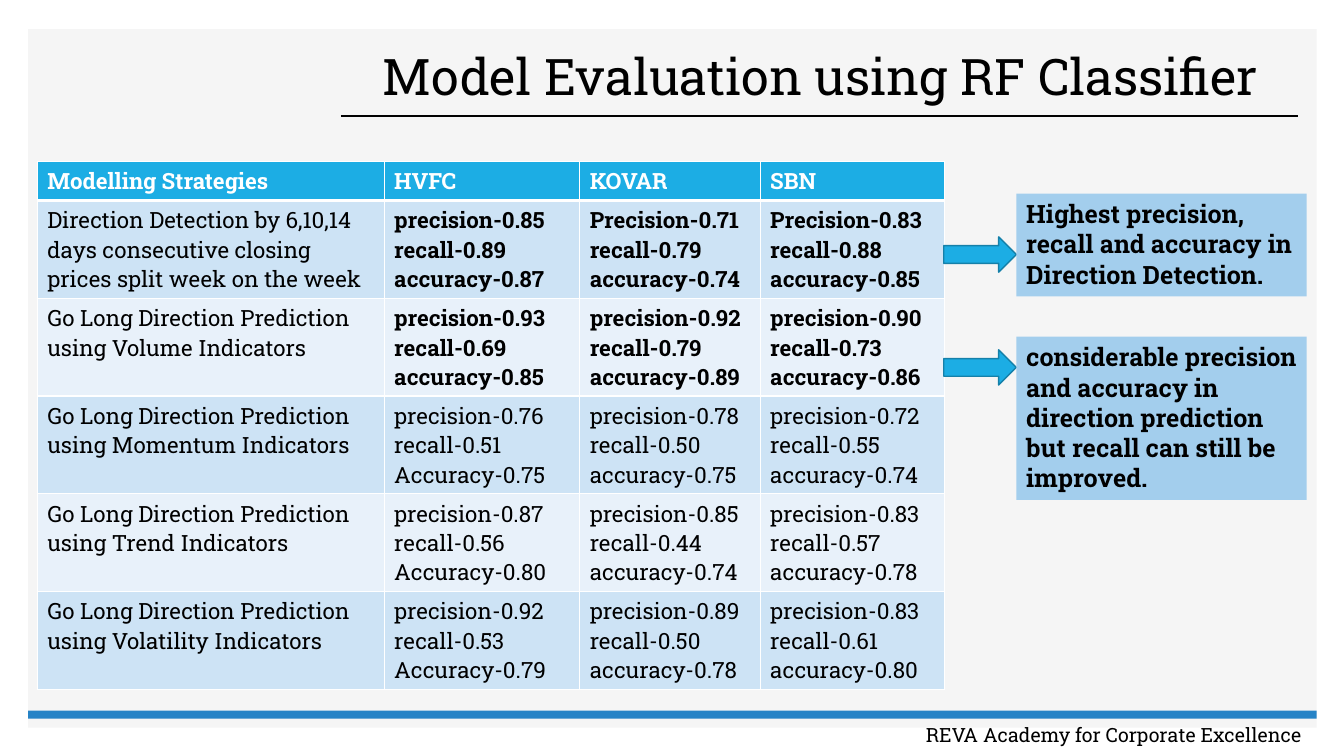
import lxml.etree
import pptx
import pptx.dml.color
import pptx.enum.shapes
import pptx.enum.text
import pptx.oxml.ns
import pptx.util

Inches = pptx.util.Inches
SHAPES = pptx.enum.shapes.MSO_SHAPE
ALIGN = pptx.enum.text.PP_ALIGN
ANCHOR = pptx.enum.text.MSO_ANCHOR
FONT = "Roboto Slab"
BLACK, WHITE, ACCENT = "000000", "FFFFFF", "1CADE4"
BANDS = ["CDE3F5", "E8F1FA"]

HEADERS = ["Modelling Strategies", "HVFC", "KOVAR", "SBN"]
# Strategy, whether its scores stand out, then one group of scores per bank
STRATEGIES = [
    ("Direction Detection by 6,10,14 days consecutive closing prices split week on the week", True,
     ["precision-0.85", "recall-0.89", "accuracy-0.87"],
     ["Precision-0.71", "recall-0.79", "accuracy-0.74"],
     ["Precision-0.83", "recall-0.88", "accuracy-0.85"]),
    ("Go Long Direction Prediction using Volume Indicators", True,
     ["precision-0.93", "recall-0.69", "accuracy-0.85"],
     ["precision-0.92", "recall-0.79", "accuracy-0.89"],
     ["precision-0.90", "recall-0.73", "accuracy-0.86"]),
    ("Go Long Direction Prediction using Momentum Indicators", False,
     ["precision-0.76", "recall-0.51", "Accuracy-0.75"],
     ["precision-0.78", "recall-0.50", "accuracy-0.75"],
     ["precision-0.72", "recall-0.55", "accuracy-0.74"]),
    ("Go Long Direction Prediction using Trend Indicators", False,
     ["precision-0.87", "recall-0.56", "Accuracy-0.80"],
     ["precision-0.85", "recall-0.44", "accuracy-0.74"],
     ["precision-0.83", "recall-0.57", "accuracy-0.78"]),
    ("Go Long Direction Prediction using Volatility Indicators", False,
     ["precision-0.92", "recall-0.53", "Accuracy-0.79"],
     ["precision-0.89", "recall-0.50", "accuracy-0.78"],
     ["precision-0.83", "recall-0.61", "accuracy-0.80"]),
]


def color(value):
    return pptx.dml.color.RGBColor.from_string(value)


def write(frame, lines, size, tint=BLACK, bold=False, align=ALIGN.LEFT, spacing=None):
    frame.word_wrap = True
    for index, line in enumerate(lines):
        para = frame.add_paragraph() if index else frame.paragraphs[0]
        para.alignment = align
        para.line_spacing = spacing
        span = para.add_run()
        span.text = line
        span.font.name = FONT
        span.font.size = pptx.util.Pt(size)
        span.font.bold = bold
        span.font.color.rgb = color(tint)


def add_block(page, kind, box, fill, line=None):
    block = page.shapes.add_shape(kind, *map(Inches, box))
    block.shadow.inherit = False
    block.fill.solid()
    block.fill.fore_color.rgb = color(fill)
    if line:
        block.line.color.rgb = color(line)
        block.line.width = pptx.util.Pt(1)
    else:
        block.line.fill.background()
    return block


def add_text(page, box, text, size, anchor=ANCHOR.TOP, **style):
    label = page.shapes.add_textbox(*map(Inches, box))
    label.text_frame.vertical_anchor = anchor
    write(label.text_frame, [text], size, **style)


def add_frame(page, box):
    """Grey panel with the title rule, the bottom bar and the footer."""
    left, top, width, height = box
    add_block(page, SHAPES.RECTANGLE, box, "F5F5F5")
    rule = page.shapes.add_connector(
        pptx.enum.shapes.MSO_CONNECTOR.STRAIGHT,
        Inches(left + 3.1), Inches(top + 0.86), Inches(left + 12.59), Inches(top + 0.86))
    rule.line.color.rgb = color(BLACK)
    rule.line.width = pptx.util.Pt(1)
    lxml.etree.SubElement(rule._element.spPr, pptx.oxml.ns.qn("a:effectLst"))
    bottom = top + height
    add_block(page, SHAPES.RECTANGLE, (left, bottom - 0.17, width, 0.08), "2683C6")
    add_text(page, (left + width - 5.23, bottom - 0.1, 5.23, 0.34),
             "REVA Academy for Corporate Excellence ", 14, align=ALIGN.RIGHT)


def add_border(cell, side, points):
    properties = cell._tc.get_or_add_tcPr()
    edge = lxml.etree.SubElement(properties, pptx.oxml.ns.qn("a:ln" + side),
                                 w=str(pptx.util.Pt(points)))
    fill = lxml.etree.SubElement(edge, pptx.oxml.ns.qn("a:solidFill"))
    lxml.etree.SubElement(fill, pptx.oxml.ns.qn("a:srgbClr"), val=WHITE)


def fill_cell(cell, lines, fill, tint=BLACK, bold=False, top=1, bottom=1):
    for side, points in (("L", 1), ("R", 1), ("T", top), ("B", bottom)):
        add_border(cell, side, points)
    cell.fill.solid()
    cell.fill.fore_color.rgb = color(fill)
    write(cell.text_frame, lines, 16, tint, bold)


def add_scores(page, box):
    """Table of scores: one row per strategy, one column per bank."""
    frame = page.shapes.add_table(len(STRATEGIES) + 1, len(HEADERS), *map(Inches, box))
    table = frame.table
    for column, width in zip(table.columns, [3.44, 1.94, 1.79, 1.83]):
        column.width = Inches(width)
    header_height = 0.39
    row_height = (box[3] - header_height) / len(STRATEGIES)
    for index, row in enumerate(table.rows):
        row.height = Inches(row_height if index else header_height)
    for column, header in enumerate(HEADERS):
        fill_cell(table.cell(0, column), [header], ACCENT, WHITE, True, bottom=3)
    for row, (strategy, strong, *banks) in enumerate(STRATEGIES, 1):
        band = BANDS[(row - 1) % 2]
        top = 3 if row == 1 else 1
        fill_cell(table.cell(row, 0), [strategy], band, top=top)
        for column, scores in enumerate(banks, 1):
            fill_cell(table.cell(row, column), scores, band, bold=strong, top=top)


def add_finding(page, box, arrow_top, text):
    """Callout with an arrow leading to it from the table."""
    arrow_width = 0.72
    add_block(page, SHAPES.RIGHT_ARROW,
              (box[0] - arrow_width, arrow_top, arrow_width, 0.35), ACCENT, "1580A9")
    callout = add_block(page, SHAPES.RECTANGLE, box, "A3CEED")
    callout.text_frame.vertical_anchor = ANCHOR.TOP
    write(callout.text_frame, [text], 18, bold=True)


def main():
    deck = pptx.Presentation()
    deck.slide_width, deck.slide_height = Inches(13.33), Inches(7.5)
    page = deck.slides.add_slide(deck.slide_layouts[6])
    add_frame(page, (0.28, 0.29, 12.78, 6.93))
    add_text(page, (3.7, 0.42, 9.17, 0.73), "Model Evaluation using RF Classifier", 36,
             anchor=ANCHOR.MIDDLE, spacing=0.9)
    add_scores(page, (0.37, 1.6, 8.99, 5.24))
    add_finding(page, (10.08, 1.92, 2.88, 1.02), 2.35,
                "Highest precision, recall and accuracy in Direction Detection.")
    add_finding(page, (10.08, 3.34, 2.88, 1.62), 3.47,
                "considerable precision and accuracy in direction prediction "
                "but recall can still be improved.")
    deck.save("out.pptx")


if __name__ == "__main__":
    main()
